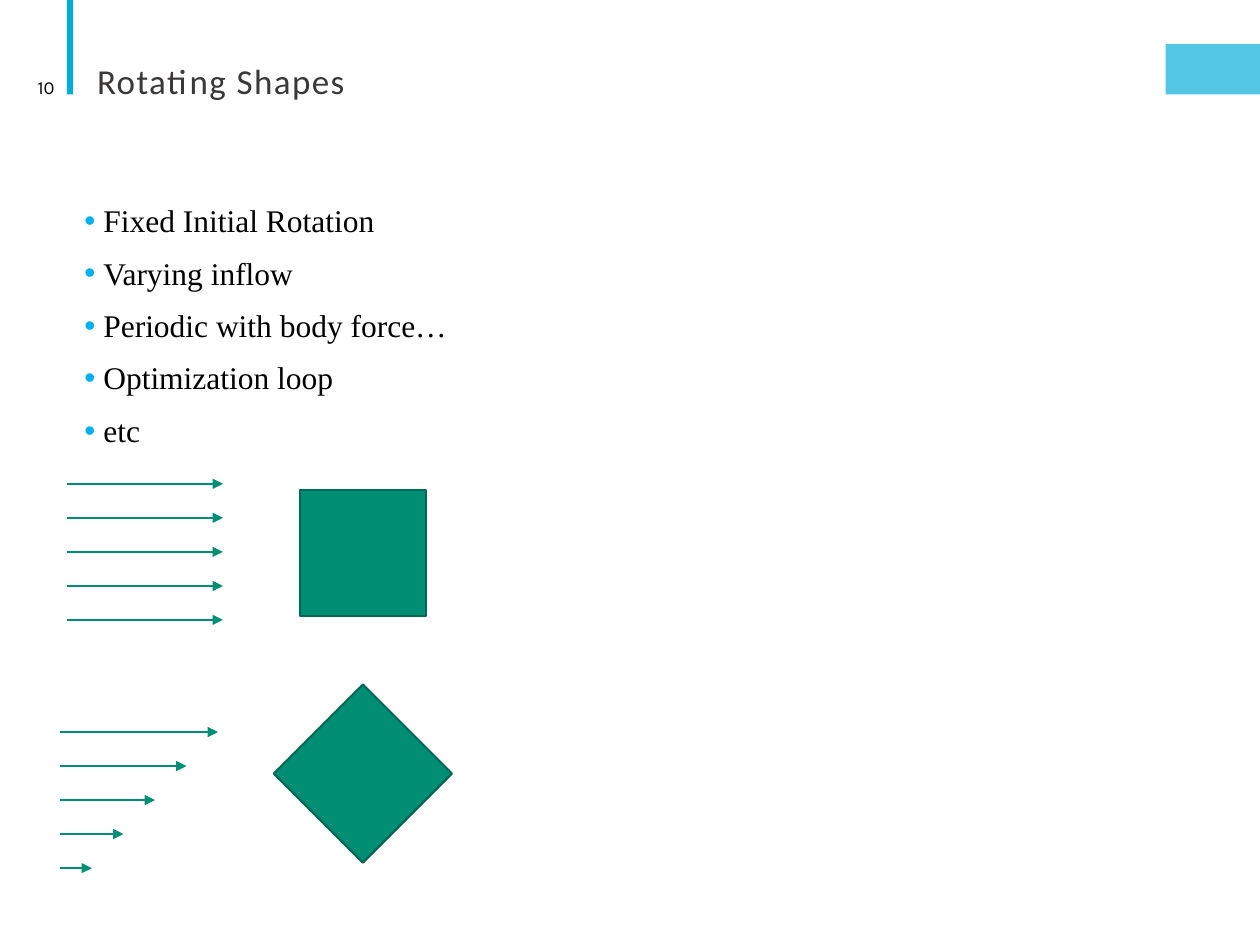
from lxml import etree
from pptx import Presentation
from pptx.dml.color import RGBColor
from pptx.enum.shapes import MSO_CONNECTOR, MSO_SHAPE
from pptx.enum.text import MSO_ANCHOR, MSO_AUTO_SIZE, PP_ALIGN
from pptx.oxml.ns import qn
from pptx.util import Inches, Pt

RECT = MSO_SHAPE.RECTANGLE
STRAIGHT = MSO_CONNECTOR.STRAIGHT
TOP, MIDDLE, BOTTOM = MSO_ANCHOR.TOP, MSO_ANCHOR.MIDDLE, MSO_ANCHOR.BOTTOM
LEFT, RIGHT = PP_ALIGN.LEFT, PP_ALIGN.RIGHT
NO_FIT = MSO_AUTO_SIZE.NONE

CYAN = RGBColor(0x00, 0xAC, 0xD9)
BULLET = RGBColor(0x00, 0xB0, 0xF0)
GREEN = RGBColor(0x00, 0x8E, 0x74)
DARK_GREEN = RGBColor(0x00, 0x69, 0x56)
GREY = RGBColor(0x3B, 0x38, 0x38)
BLACK = RGBColor(0x00, 0x00, 0x00)

COLS, ROWS = 10, 7.5
ARROW_GAP = 0.27
ITEMS = ["Fixed Initial Rotation", "Varying inflow",
         "Periodic with body force…", "Optimization loop", "etc"]


def write(p, text, font, size, color, align=LEFT, spacing=None, tracking=None):
    p.alignment = align
    p.line_spacing = spacing
    r = p.add_run()
    r.text = text
    r.font.name, r.font.size = font, Pt(size)
    r.font.color.rgb = color
    if tracking:
        r.font._element.set("spc", str(int(tracking * 100)))


class Deck:
    """Slide builder measuring in columns and rows of a 10 by 7.5 grid."""

    def __init__(self):
        self.prs = Presentation()
        self.prs.slide_width, self.prs.slide_height = Inches(10), Inches(7.5)
        self.s = self.prs.slides.add_slide(self.prs.slide_layouts[1])

    def x(self, cols):
        return int(self.prs.slide_width * cols / COLS)

    def y(self, rows):
        return int(self.prs.slide_height * rows / ROWS)

    def box(self, left, top, width, height):
        return self.x(left), self.y(top), self.x(width), self.y(height)

    def frame(self, sp, anchor):
        tf = sp.text_frame
        tf.word_wrap, tf.auto_size, tf.vertical_anchor = True, NO_FIT, anchor
        return tf

    def place(self, sp, area, anchor):
        sp.left, sp.top, sp.width, sp.height = self.box(*area)
        return self.frame(sp, anchor)

    def title(self, text, area):
        tf = self.place(self.s.shapes.title, area, BOTTOM)
        write(tf.paragraphs[0], text, "Calibri", 20, GREY,
              spacing=0.85, tracking=0.8)

    def bullets(self, items, area):
        tf = self.place(self.s.placeholders[1], area, TOP)
        tf.margin_left = tf.margin_right = 0
        for i, text in enumerate(items):
            p = tf.add_paragraph() if i else tf.paragraphs[0]
            pPr = p._p.get_or_add_pPr()
            indent = self.x(0.15)
            pPr.set("marL", str(indent))
            pPr.set("indent", str(-indent))
            clr = etree.SubElement(pPr, qn("a:buClr"))
            etree.SubElement(clr, qn("a:srgbClr"), val=str(BULLET))
            etree.SubElement(pPr, qn("a:buChar"), char="•")
            p.space_before, p.space_after = Pt(9 if i else 0), Pt(1.5)
            write(p, text, "Times New Roman", 18, BLACK, spacing=0.9)

    def number(self, text, area):
        tf = self.frame(self.s.shapes.add_textbox(*self.box(*area)), MIDDLE)
        write(tf.paragraphs[0], text, "Karla", 10.5, BLACK, align=RIGHT)

    def rect(self, area, fill, line=None, alpha=None, rotation=0):
        sp = self.s.shapes.add_shape(RECT, *self.box(*area))
        sp.shadow.inherit = False
        sp.rotation = rotation
        sp.fill.solid()
        sp.fill.fore_color.rgb = fill
        if alpha:
            clr = sp._element.spPr.find(".//" + qn("a:srgbClr"))
            etree.SubElement(clr, qn("a:alpha"), val=str(alpha * 1000))
        if line:
            sp.line.color.rgb, sp.line.width = line, Pt(1.25)
        else:
            sp.line.fill.background()

    def arrow(self, left, top, length):
        y = self.y(top)
        c = self.s.shapes.add_connector(
            STRAIGHT, self.x(left), y, self.x(left + length), y)
        c.line.color.rgb, c.line.width = GREEN, Pt(1)
        etree.SubElement(c.line._get_or_add_ln(), qn("a:tailEnd"),
                         type="triangle")
        etree.SubElement(c._element.spPr, qn("a:effectLst"))

    def inflow(self, left, top, lengths):
        for i, length in enumerate(lengths):
            self.arrow(left, top + i * ARROW_GAP, length)


def main():
    deck = Deck()
    deck.rect((0.53, 0, 0.05, 0.75), CYAN)
    deck.rect((9.25, 0.35, 0.75, 0.4), CYAN, alpha=67)
    deck.title("Rotating Shapes", (0.67, 0.24, 8.25, 0.62))
    deck.number("10", (0.05, 0.49, 0.48, 0.4))
    deck.bullets(ITEMS, (0.67, 1.58, 8.25, 3.62))
    for top, rotation in ((3.89, 0), (5.64, 45)):
        deck.rect((2.38, top, 1, 1), GREEN, DARK_GREEN, rotation=rotation)
    deck.inflow(0.53, 3.84, [1.24] * 5)
    deck.inflow(0.48, 5.81, [0.25 * n for n in range(5, 0, -1)])
    deck.prs.save("out.pptx")


if __name__ == "__main__":
    main()
